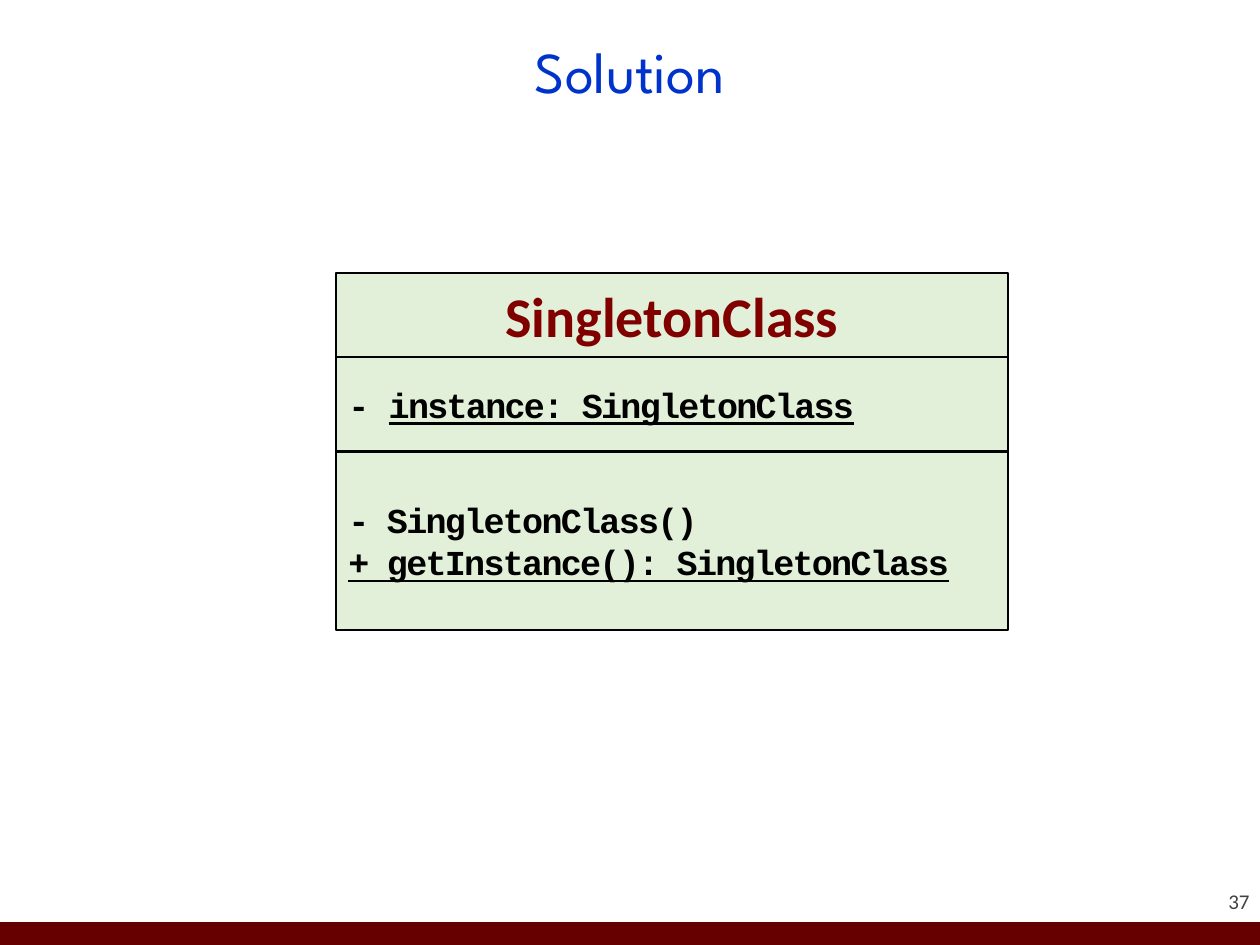
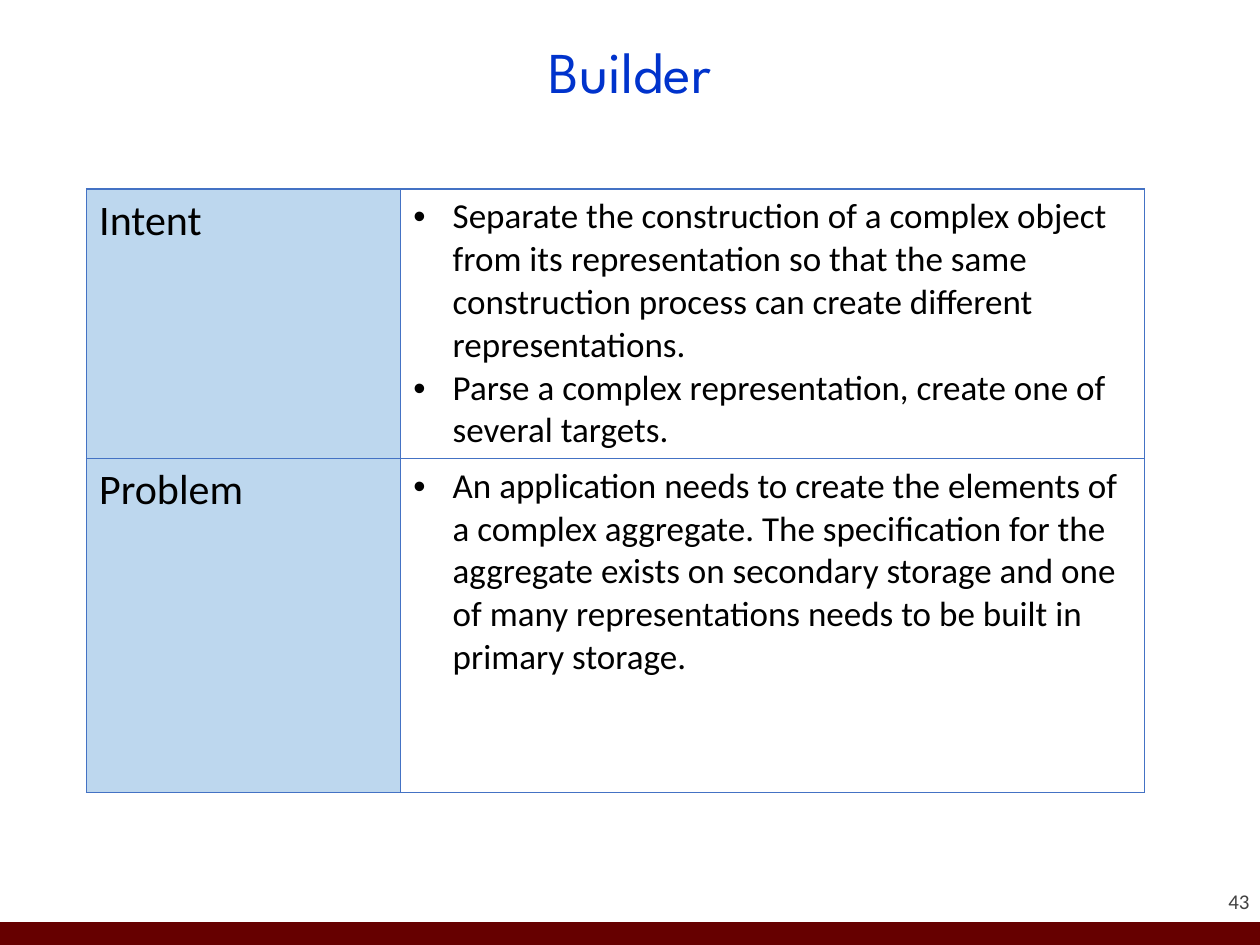
"""Build two design-pattern slides: a singleton class diagram and a builder table."""
from dataclasses import dataclass

import lxml.etree
import pptx
import pptx.dml.color
import pptx.enum.shapes
import pptx.enum.text
import pptx.oxml.ns
import pptx.slide
import pptx.table
import pptx.text.text
import pptx.util

Pt = pptx.util.Pt
Align = pptx.enum.text.PP_ALIGN
Anchor = pptx.enum.text.MSO_ANCHOR
Shapes = pptx.enum.shapes.MSO_SHAPE

PAGE_WIDTH, PAGE_HEIGHT = 720, 540
BAND_HEIGHT = 13
MAROON, BLUE, GREY, BLACK, WHITE = "660000", "0033CC", "424242", "000000", "FFFFFF"
CLASS_NAME_RED, CLASS_GREEN = "800000", "E2F0D9"
LABEL_BLUE, BORDER_BLUE = "BDD7EE", "4472C4"
HEADING_FONT, BODY_FONT, CODE_FONT = "League Spartan", "Calibri", "Courier New"


@dataclass(frozen=True)
class TextStyle:
    """Font and alignment of a paragraph."""
    face: str
    size: float
    color: str = BLACK
    bold: bool = False
    align: Align = Align.LEFT
    spacing: float = 0


@dataclass(frozen=True)
class Span:
    """A stretch of text, underlined when it names a static member."""
    text: str
    static: bool = False


@dataclass(frozen=True)
class Compartment:
    """One section of a class box."""
    height: float
    style: TextStyle
    lines: list[list[Span]]


@dataclass(frozen=True)
class PatternRow:
    """One table row: a label and its bullet points."""
    label: str
    points: list[str]
    height: float


TITLE = TextStyle(HEADING_FONT, 33, BLUE, align=Align.CENTER)
PAGE_NUMBER = TextStyle(BODY_FONT, 12, GREY, align=Align.RIGHT)
CLASS_NAME = TextStyle(BODY_FONT, 32, CLASS_NAME_RED, True, Align.CENTER)
MEMBER = TextStyle(CODE_FONT, 20, bold=True, spacing=-1)
ROW_LABEL = TextStyle(BODY_FONT, 24)
POINT = TextStyle(BODY_FONT, 20)

SINGLETON = [
    Compartment(48, CLASS_NAME, [[Span("SingletonClass")]]),
    Compartment(54, MEMBER, [[Span("- "), Span("instance: SingletonClass", True)]]),
    Compartment(102, MEMBER, [[Span("- SingletonClass()")],
                              [Span("+ getInstance(): SingletonClass", True)]]),
]
BUILDER = [
    PatternRow("Intent", [
        "Separate the construction of a complex object from its representation so that "
        "the same construction process can create different representations.",
        "Parse a complex representation, create one of several targets.",
    ], 154),
    PatternRow("Problem", [
        "An application needs to create the elements of a complex aggregate. The "
        "specification for the aggregate exists on secondary storage and one of many "
        "representations needs to be built in primary storage.",
    ], 191),
]


def rgb(code: str) -> pptx.dml.color.RGBColor:
    """Turn a hex string into a colour."""
    return pptx.dml.color.RGBColor.from_string(code)


def add_bullet(para: pptx.text.text._Paragraph, indent: float) -> None:
    """Give a paragraph a hanging round bullet."""
    properties = para._p.get_or_add_pPr()
    properties.set("marL", str(Pt(indent)))
    properties.set("indent", str(-Pt(indent)))
    font = lxml.etree.SubElement(properties, pptx.oxml.ns.qn("a:buFont"))
    font.set("typeface", "Arial")
    bullet = lxml.etree.SubElement(properties, pptx.oxml.ns.qn("a:buChar"))
    bullet.set("char", "•")


def write(frame: pptx.text.text.TextFrame, lines: list[list[Span]], style: TextStyle,
          bullet_indent: float = 0) -> None:
    """Fill a text frame with one paragraph per line."""
    frame.word_wrap = True
    for index, line in enumerate(lines):
        para = frame.add_paragraph() if index else frame.paragraphs[0]
        para.alignment = style.align
        if bullet_indent:
            add_bullet(para, bullet_indent)
        para.font.name = style.face
        para.font.size = Pt(style.size)
        para.font.bold = style.bold
        para.font.color.rgb = rgb(style.color)
        for span in line:
            run = para.add_run()
            run.text = span.text
            if span.static:
                run.font.underline = True
            if style.spacing:
                run._r.get_or_add_rPr().set("spc", str(round(style.spacing * 100)))


def add_page(deck: pptx.presentation.Presentation, title: str,
             number: int) -> pptx.slide.Slide:
    """Add a page with its title, number and bottom band."""
    page = deck.slides.add_slide(deck.slide_layouts[6])
    band = page.shapes.add_shape(Shapes.RECTANGLE, 0, Pt(PAGE_HEIGHT - BAND_HEIGHT),
                                 Pt(PAGE_WIDTH), Pt(BAND_HEIGHT))
    band.shadow.inherit = False
    band.fill.solid()
    band.fill.fore_color.rgb = rgb(MAROON)
    band.line.fill.background()

    number_box = page.shapes.add_textbox(Pt(654), Pt(493), Pt(60), Pt(29)).text_frame
    number_box.margin_left = number_box.margin_right = 0
    number_box.margin_top = number_box.margin_bottom = 0
    number_box.vertical_anchor = Anchor.BOTTOM
    write(number_box, [[Span(str(number))]], PAGE_NUMBER)

    title_box = page.shapes.add_textbox(Pt(49.5), Pt(9), Pt(621), Pt(67.5)).text_frame
    title_box.vertical_anchor = Anchor.MIDDLE
    write(title_box, [[Span(title)]], TITLE)
    title_box.paragraphs[0].line_spacing = 0.9
    return page


def add_class_box(page: pptx.slide.Slide, left: float, top: float, width: float,
                  compartments: list[Compartment]) -> None:
    """Stack the compartments of a class box."""
    for compartment in compartments:
        box = page.shapes.add_shape(Shapes.FLOWCHART_PROCESS, Pt(left), Pt(top),
                                    Pt(width), Pt(compartment.height))
        box.shadow.inherit = False
        box.fill.solid()
        box.fill.fore_color.rgb = rgb(CLASS_GREEN)
        box.line.color.rgb = rgb(BLACK)
        box.line.width = Pt(1.5)
        box.text_frame.vertical_anchor = Anchor.MIDDLE
        write(box.text_frame, compartment.lines, compartment.style)
        top += compartment.height


def style_cell(cell: pptx.table._Cell, fill: str) -> None:
    """Fill a cell and draw its four borders."""
    cell.fill.solid()
    cell.fill.fore_color.rgb = rgb(fill)
    properties = cell._tc.get_or_add_tcPr()
    for index, side in enumerate(("lnL", "lnR", "lnT", "lnB")):
        border = lxml.etree.Element(pptx.oxml.ns.qn(f"a:{side}"), w=str(Pt(1)))
        paint = lxml.etree.SubElement(border, pptx.oxml.ns.qn("a:solidFill"))
        lxml.etree.SubElement(paint, pptx.oxml.ns.qn("a:srgbClr"), val=BORDER_BLUE)
        properties.insert(index, border)


def add_pattern_table(page: pptx.slide.Slide, left: float, top: float,
                      widths: tuple[float, float], rows: list[PatternRow]) -> None:
    """Add a table of labels and bullet points."""
    height = sum(row.height for row in rows)
    table = page.shapes.add_table(len(rows), len(widths), Pt(left), Pt(top),
                                  Pt(sum(widths)), Pt(height)).table
    table.first_row = table.horz_banding = False
    for column, width in zip(table.columns, widths):
        column.width = Pt(width)
    for index, row in enumerate(rows):
        table.rows[index].height = Pt(row.height)
        label, points = table.cell(index, 0), table.cell(index, 1)
        style_cell(label, LABEL_BLUE)
        style_cell(points, WHITE)
        write(label.text_frame, [[Span(row.label)]], ROW_LABEL)
        write(points.text_frame, [[Span(point)] for point in row.points], POINT, 22.5)


def main() -> None:
    """Build and save the deck."""
    deck = pptx.Presentation()
    deck.slide_width, deck.slide_height = Pt(PAGE_WIDTH), Pt(PAGE_HEIGHT)
    add_class_box(add_page(deck, "Solution", 37), 192, 156, 384, SINGLETON)
    add_pattern_table(add_page(deck, "Builder", 43), 49.5, 108, (179.5, 425), BUILDER)
    deck.save("out.pptx")


if __name__ == "__main__":
    main()
